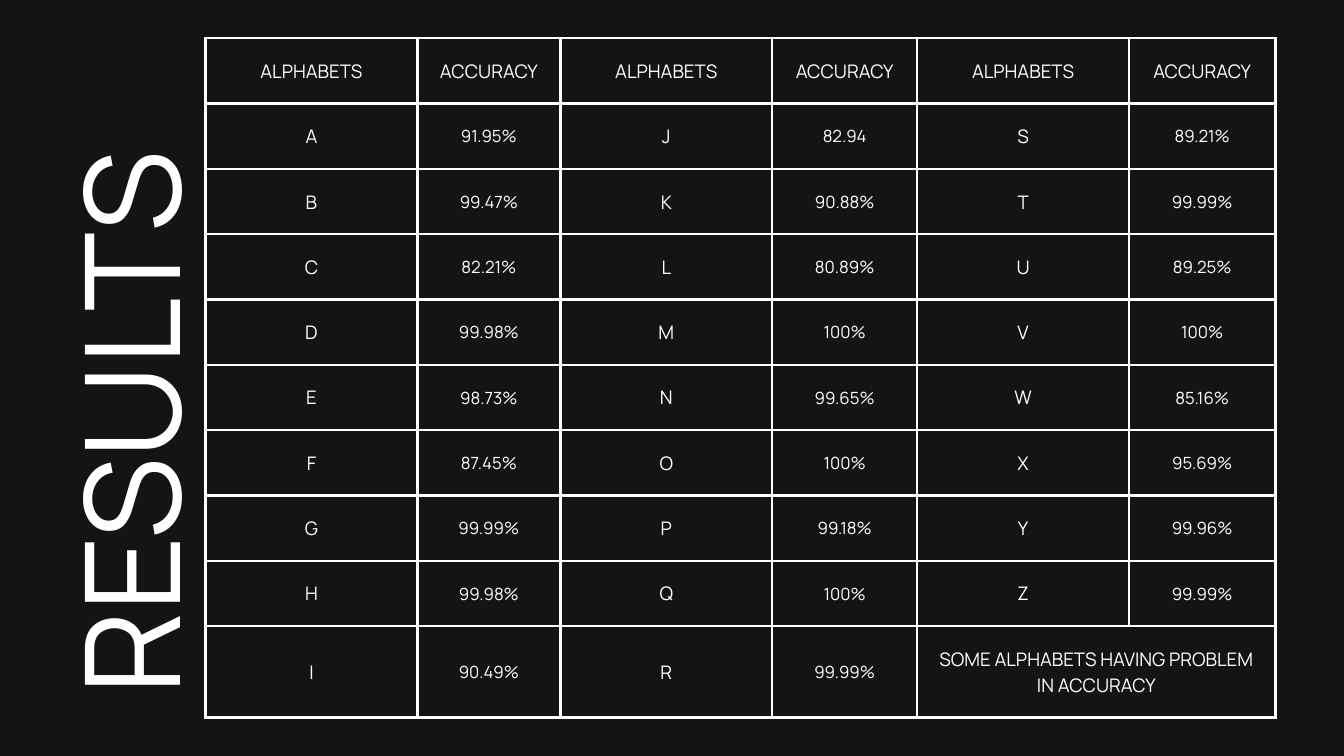
import pptx
import pptx.dml.color
import pptx.enum.text
import pptx.oxml
import pptx.oxml.ns
import pptx.util

Pt = pptx.util.Pt
RGBColor = pptx.dml.color.RGBColor
ANCHOR = pptx.enum.text.MSO_ANCHOR
ALIGN = pptx.enum.text.PP_ALIGN

DARK = RGBColor(0x14, 0x14, 0x14)
WHITE = RGBColor(0xFF, 0xFF, 0xFF)
FONT = "Manrope"

COL_WIDTHS = [226.8, 153.4, 226.8, 155.5, 226.8, 157]
ROW_HEIGHTS = [70] * 9 + [98]
NOTE = "SOME ALPHABETS HAVING PROBLEM IN ACCURACY"
ROWS = [
    ["ALPHABETS", "ACCURACY"] * 3,
    ["A", "91.95%", "J", "82.94", "S", "89.21%"],
    ["B", "99.47%", "K", "90.88%", "T", "99.99%"],
    ["C", "82.21%", "L", "80.89%", "U", "89.25%"],
    ["D", "99.98%", "M", "100%", "V", "100%"],
    ["E", "98.73%", "N", "99.65%", "W", "85.16%"],
    ["F", "87.45%", "O", "100%", "X", "95.69%"],
    ["G", "99.99%", "P", "99.18%", "Y", "99.96%"],
    ["H", "99.98%", "Q", "100%", "Z", "99.99%"],
    ["I", "90.49%", "R", "99.99%", NOTE],
]


def set_attrs(obj, values):
    for name, value in values.items():
        setattr(obj, name, value)


class SlideBuilder:
    def __init__(self, prs):
        self.s = prs.slides.add_slide(prs.slide_layouts[5])
        self.font = {"name": FONT, "bold": False}
        self.border = {"color": WHITE, "width": 3}

    def background(self, color):
        fill = self.s.background.fill
        fill.solid()
        fill.fore_color.rgb = color

    def add_text(self, tf, text, size, spacing, align):
        p = tf.paragraphs[0]
        set_attrs(p, {"alignment": align, "line_spacing": Pt(spacing)})
        r = p.add_run()
        r.text = text
        set_attrs(r.font, {**self.font, "size": Pt(size)})
        r.font.color.rgb = WHITE

    def title(self, text, left, top, width, height):
        sp = self.s.shapes.title
        set_attrs(sp, {"left": Pt(left), "top": Pt(top), "width": Pt(width),
                       "height": Pt(height), "rotation": 270})
        tf = sp.text_frame
        set_attrs(tf, {"margin_left": 0, "margin_right": 0, "margin_top": 0,
                       "margin_bottom": 0, "word_wrap": True,
                       "vertical_anchor": ANCHOR.TOP,
                       "auto_size": pptx.enum.text.MSO_AUTO_SIZE.NONE})
        self.add_text(tf, text, 141.5, 169.8, ALIGN.LEFT)

    def cell_style(self, cell):
        set_attrs(cell, {"margin_left": Pt(15), "margin_right": Pt(15),
                         "margin_top": Pt(15), "margin_bottom": Pt(15),
                         "vertical_anchor": ANCHOR.MIDDLE})
        tcPr = cell._tc.get_or_add_tcPr()
        for side in "LRTB":
            tcPr.append(pptx.oxml.parse_xml(
                f'<a:ln{side} {pptx.oxml.ns.nsdecls("a")} w="{Pt(self.border["width"])}">'
                f'<a:solidFill><a:srgbClr val="{self.border["color"]}"/></a:solidFill>'
                f'</a:ln{side}>'))
        cell.fill.background()

    def table(self, rows, left, top, widths, heights):
        frame = self.s.shapes.add_table(len(heights), len(widths), Pt(left), Pt(top),
                                        Pt(sum(widths)), Pt(sum(heights)))
        table = frame.table
        set_attrs(table, {"first_row": False, "horz_banding": False})
        for col, width in zip(table.columns, widths):
            col.width = Pt(width)
        for row, height in zip(table.rows, heights):
            row.height = Pt(height)
        for cell in table.iter_cells():
            self.cell_style(cell)
        for i, row in enumerate(rows):
            # A short row stretches its last cell to the right edge
            if len(row) < len(widths):
                table.cell(i, len(row) - 1).merge(table.cell(i, len(widths) - 1))
            for j, text in enumerate(row):
                size = 18 if i and j % 2 else 20
                self.add_text(table.cell(i, j).text_frame, text, size, size * 1.4,
                              ALIGN.CENTER)


def main():
    prs = pptx.Presentation()
    set_attrs(prs, {"slide_width": Pt(1440), "slide_height": Pt(810)})
    slide = SlideBuilder(prs)
    slide.background(DARK)

    # Accuracy per letter
    slide.table(ROWS, 220.3, 41, COL_WIDTHS, ROW_HEIGHTS)

    # Sideways title
    slide.title("RESULTS", -211.7, 312.5, 695.5, 167.8)

    prs.save("out.pptx")


if __name__ == "__main__":
    main()
